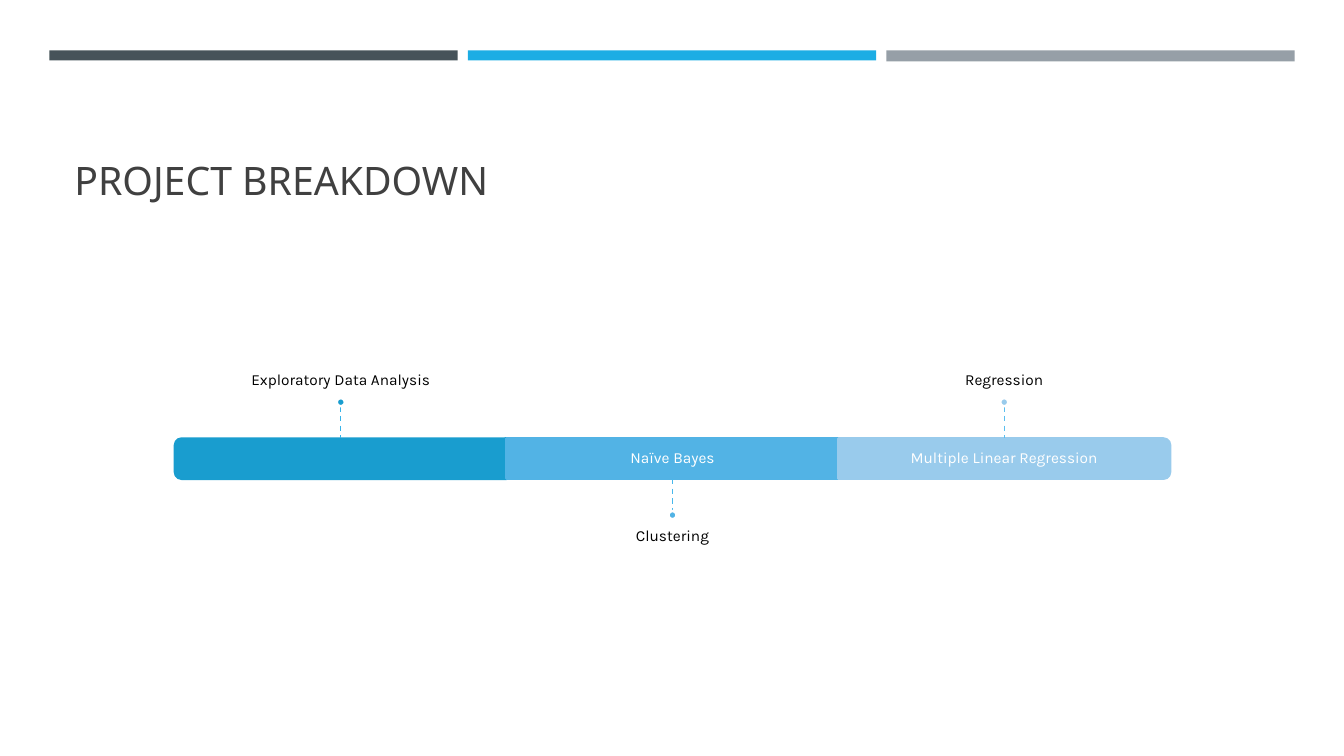
from lxml.etree import SubElement
from pptx import Presentation
from pptx.dml.color import RGBColor
from pptx.enum.dml import MSO_LINE
from pptx.enum.shapes import MSO_CONNECTOR, MSO_SHAPE
from pptx.enum.text import MSO_ANCHOR as Anchor, PP_ALIGN as Align
from pptx.oxml.ns import qn
from pptx.util import Inches, Pt


def add_block(kind, left, top, width, height, fill, line=None):
    """Add a filled preset shape, outlined when a line colour is given."""
    block = page.shapes.add_shape(
        kind, Inches(left), Inches(top), Inches(width), Inches(height))
    block.shadow.inherit = False
    block.fill.solid()
    block.fill.fore_color.rgb = RGBColor.from_string(fill)
    if line:
        block.line.color.rgb = RGBColor.from_string(line)
        block.line.width = Pt(1.75)
    else:
        block.line.fill.background()
    return block


def add_text(text, left, top, width, height, size=11, font="Karla",
             color="000000", align=Align.CENTER, anchor=Anchor.MIDDLE,
             spacing=0.9, insets=(0.09, 0.09, 0.09, 0.09)):
    """Add a wrapped one-paragraph text box; insets run left, top, right, bottom."""
    box = page.shapes.add_textbox(
        Inches(left), Inches(top), Inches(width), Inches(height))
    frame = box.text_frame
    frame.word_wrap = True
    frame.vertical_anchor = anchor
    (frame.margin_left, frame.margin_top,
     frame.margin_right, frame.margin_bottom) = map(Inches, insets)
    para = frame.paragraphs[0]
    para.alignment = align
    para.line_spacing = spacing
    span = para.add_run()
    span.text = text
    span.font.size = Pt(size)
    span.font.name = font
    span.font.color.rgb = RGBColor.from_string(color)


deck = Presentation()
deck.slide_width, deck.slide_height = Inches(13.33), Inches(7.5)
page = deck.slides.add_slide(deck.slide_layouts[6])

# Header bars
for index, color in enumerate(["465359", "1CADE4", "969FA7"]):
    height = 0.11 if index == 2 else 0.1
    add_block(MSO_SHAPE.RECTANGLE, 0.49 + 4.15 * index, 0.5, 4.05, height, color)

add_text("PROJECT BREAKDOWN", 0.64, 0.77, 12.06, 1.3, size=28, font="Noto Sans",
         color="404040", align=Align.LEFT, anchor=Anchor.BOTTOM, spacing=1,
         insets=(0.1, 0.05, 0.1, 0.05))

# Timeline: label, text on the band, band colour, stem colour, band rotation
stages = [
    ("Exploratory Data Analysis", "", "199DCF", "36B3E9", 270),
    ("Clustering", "Naïve Bayes", "52B3E5", "48B8EC", 0),
    ("Regression", "Multiple Linear Regression", "99CBEC", "5ABEEF", 90),
]
band_top, band_width, band_height = 4.35, 3.29, 0.4
band_bottom = band_top + band_height
label_width, label_height = 5.48, 1.39
stem, dot = 0.32, 0.08

for index, (label, method, color, stem_color, rotation) in enumerate(stages):
    center = 3.38 + band_width * index
    band_left = center - band_width / 2
    if rotation:
        band = add_block(MSO_SHAPE.ROUND_2_SAME_RECTANGLE, center - band_height / 2,
                         band_top + (band_height - band_width) / 2,
                         band_height, band_width, color, color)
        band.rotation = rotation
    else:
        add_block(MSO_SHAPE.RECTANGLE, band_left, band_top,
                  band_width, band_height, color, color)
    if method:
        add_text(method, band_left, band_top, band_width, band_height, color="FFFFFF")

    above = index % 2 == 0
    if above:
        stem_start, stem_end = band_top - stem, band_top
        dot_top = stem_start - dot
        label_top = dot_top - label_height
        anchor, insets = Anchor.BOTTOM, (0, 0, 0, 0.09)
    else:
        stem_start, stem_end = band_bottom, band_bottom + stem
        dot_top = stem_end
        label_top = dot_top + dot
        anchor, insets = Anchor.TOP, (0, 0.09, 0, 0)
    add_text(label, center - label_width / 2, label_top, label_width, label_height,
             anchor=anchor, insets=insets)

    connector = page.shapes.add_connector(
        MSO_CONNECTOR.STRAIGHT, Inches(center), Inches(stem_start),
        Inches(center), Inches(stem_end))
    connector.line.color.rgb = RGBColor.from_string(stem_color)
    connector.line.width = Pt(1)
    connector.line.dash_style = MSO_LINE.DASH
    SubElement(connector.element.spPr, qn("a:effectLst"))
    add_block(MSO_SHAPE.OVAL, center - dot / 2, dot_top, dot, dot, color, "FFFFFF")

deck.save("out.pptx")
